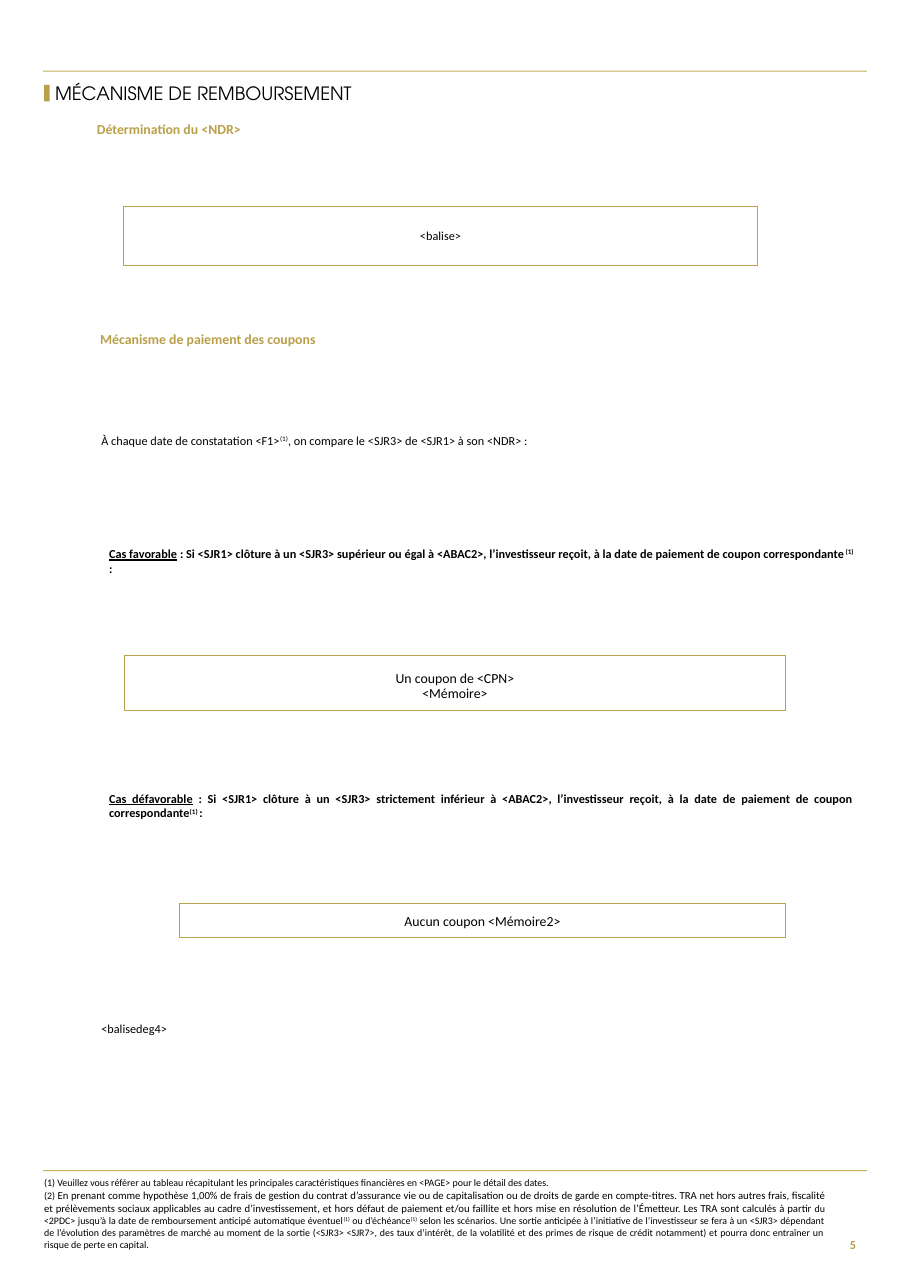
import pptx
import pptx.util
from pptx.dml.color import RGBColor
from pptx.enum.shapes import MSO_SHAPE
from pptx.enum.text import MSO_ANCHOR, MSO_AUTO_SIZE, PP_ALIGN

PX = 9144  # 100 px to the inch
COLORS = {"gold": "B9A049", "rule": "C5AF5C", "black": "000000", "white": "FFFFFF"}
SUPER = {"baseline": 30000}
UNDERLINE = {"underline": True}

deck = pptx.Presentation()
deck.slide_width, deck.slide_height = 827 * PX, 1169 * PX
page = deck.slides.add_slide(deck.slide_layouts[5])


def add_rectangle(place, fill=None, line=None, weight=0.75):
    box = page.shapes.add_shape(MSO_SHAPE.RECTANGLE, *[n * PX for n in place])
    box.shadow.inherit = False
    if fill:
        box.fill.solid()
        box.fill.fore_color.rgb = RGBColor.from_string(COLORS[fill])
    else:
        box.fill.background()
    if line:
        box.line.color.rgb = RGBColor.from_string(COLORS[line])
        box.line.width = pptx.util.Pt(weight)
    else:
        box.line.fill.background()
    return box


def write_text(box, paragraphs, size, color="black", bold=False, align=PP_ALIGN.JUSTIFY,
               margins=(0, 0, 0, 0), anchor=MSO_ANCHOR.TOP, spacing=None, font="Calibri"):
    """Fill a shape; each paragraph is a list of (text, style) spans."""
    frame = box.text_frame
    frame.word_wrap = True
    frame.auto_size = MSO_AUTO_SIZE.NONE
    frame.vertical_anchor = anchor
    (frame.margin_left, frame.margin_top,
     frame.margin_right, frame.margin_bottom) = [n * PX for n in margins]
    for index, spans in enumerate(paragraphs):
        para = frame.add_paragraph() if index else frame.paragraphs[0]
        para.alignment = align
        if spacing:
            para.line_spacing = spacing
        for text, style in spans:
            span = para.add_run()
            span.text = text
            span.font.name = font
            span.font.size = pptx.util.Pt(style.get("size", size))
            span.font.bold = bold
            span.font.color.rgb = RGBColor.from_string(COLORS[color])
            if "underline" in style:
                span.font.underline = True
            if "baseline" in style:
                span._r.get_or_add_rPr().set("baseline", str(style["baseline"]))


# Header and footer rules, title marker
for rule_top in (64, 1062):
    add_rectangle((39, rule_top, 748, 1), "rule")
add_rectangle((40, 77, 5, 15), "gold")

title = page.shapes.title
title.left, title.top, title.width, title.height = [n * PX for n in (50, 73, 421, 25)]
write_text(title, [[("MÉCANISME DE REMBOURSEMENT", {})]], 12, align=PP_ALIGN.LEFT,
           anchor=MSO_ANCHOR.MIDDLE, spacing=0.9, font="TeX Gyre Adventor")

# Section headings
headings = [
    ((68, 110, 317, 18), "Détermination du <NDR>"),
    ((71, 300, 677, 17), "Mécanisme de paiement des coupons"),
]
for place, heading in headings:
    box = page.shapes.add_textbox(*[n * PX for n in place])
    write_text(box, [[(heading, {})]], 9, "gold", True, PP_ALIGN.LEFT, (20, 0, 0, 0))

# Body text
body_texts = [
    ((92, 393, 657, 13), [("À chaque date de constatation <F1>", {}), ("(1)", SUPER),
                          (", on compare le <SJR3> de <SJR1> à son <NDR> :", {})]),
    ((92, 927, 676, 13), [("<balisedeg4>", {})]),
]
for place, spans in body_texts:
    box = page.shapes.add_textbox(*[n * PX for n in place])
    write_text(box, [spans], 8)

# The two coupon cases
cases = [
    (496, "Cas favorable", "supérieur ou égal"),
    (718, "Cas défavorable", "strictement inférieur"),
]
for top, case, comparison in cases:
    box = page.shapes.add_textbox(*[n * PX for n in (99, top, 676, 27)])
    condition = (f" : Si <SJR1> clôture à un <SJR3> {comparison} à <ABAC2>, l’investisseur "
                 "reçoit, à la date de paiement de coupon correspondante")
    write_text(box, [[(case, UNDERLINE), (condition, {}), ("(1) ", SUPER), (":", {})]],
               8, bold=True)

# Framed results
frames = [
    ((112, 187, 576, 54), None, 0.5, ["<balise>"], 8, (12, 20, 12, 20), None),
    ((113, 595, 600, 50), "white", 0.75, ["Un coupon de <CPN>", "<Mémoire>"], 9,
     (12, 15, 12, 8), 0.9),
    ((163, 820, 550, 31), "white", 0.75, ["Aucun coupon <Mémoire2>"], 9, (12, 8, 12, 8), None),
]
for place, fill, weight, lines, size, margins, spacing in frames:
    box = add_rectangle(place, fill, "gold", weight)
    write_text(box, [[(line, {})] for line in lines], size, align=PP_ALIGN.CENTER,
               margins=margins, anchor=MSO_ANCHOR.MIDDLE, spacing=spacing)

# Footnotes and page number
footnotes = [
    [("(1) Veuillez vous référer au tableau récapitulant les principales caractéristiques "
      "financières en <PAGE> pour le détail des dates.", {})],
    [("(2) ", {}),
     ("En prenant comme hypothèse 1,00% de frais de gestion du contrat d’assurance vie ou de "
      "capitalisation ou de droits de garde en compte-titres. TRA net hors autres frais, "
      "fiscalité et prélèvements sociaux applicables au cadre d’investissement, et hors défaut "
      "de paiement et/ou faillite et hors mise en résolution de l’Émetteur. Les TRA sont "
      "calculés à partir ", {"size": 7}),
     ("du <2PDC> jusqu’à la date de remboursement anticipé automatique éventuel", {}),
     ("(1)", SUPER), (" ou d’échéance", {}), ("(1)", SUPER),
     (" selon les scénarios. Une sortie anticipée à l’initiative de l’investisseur se fera à un "
      "<SJR3> dépendant de l’évolution des paramètres de marché au moment de la sortie (<SJR3> "
      "<SJR7>, des taux d’intérêt, de la volatilité et des primes de risque de crédit "
      "notamment) et pourra donc entraîner un risque de perte en capital.", {})],
]
box = page.shapes.add_textbox(*[n * PX for n in (40, 1068, 709, 68)])
write_text(box, footnotes, 6.5)

box = page.shapes.add_textbox(*[n * PX for n in (748, 1109, 39, 42)])
write_text(box, [[("5", {})]], 8, "gold", True, PP_ALIGN.RIGHT, (10, 5, 10, 5),
           MSO_ANCHOR.MIDDLE)

deck.save("out.pptx")
